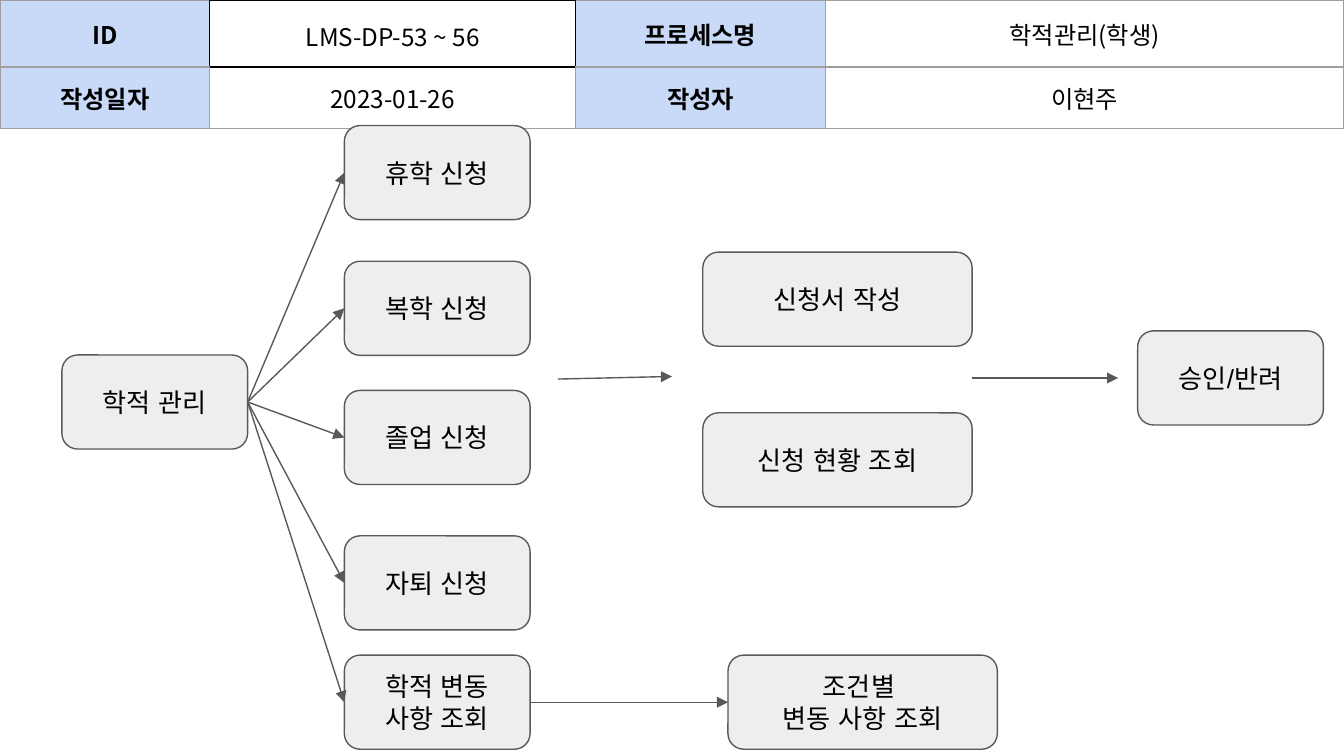
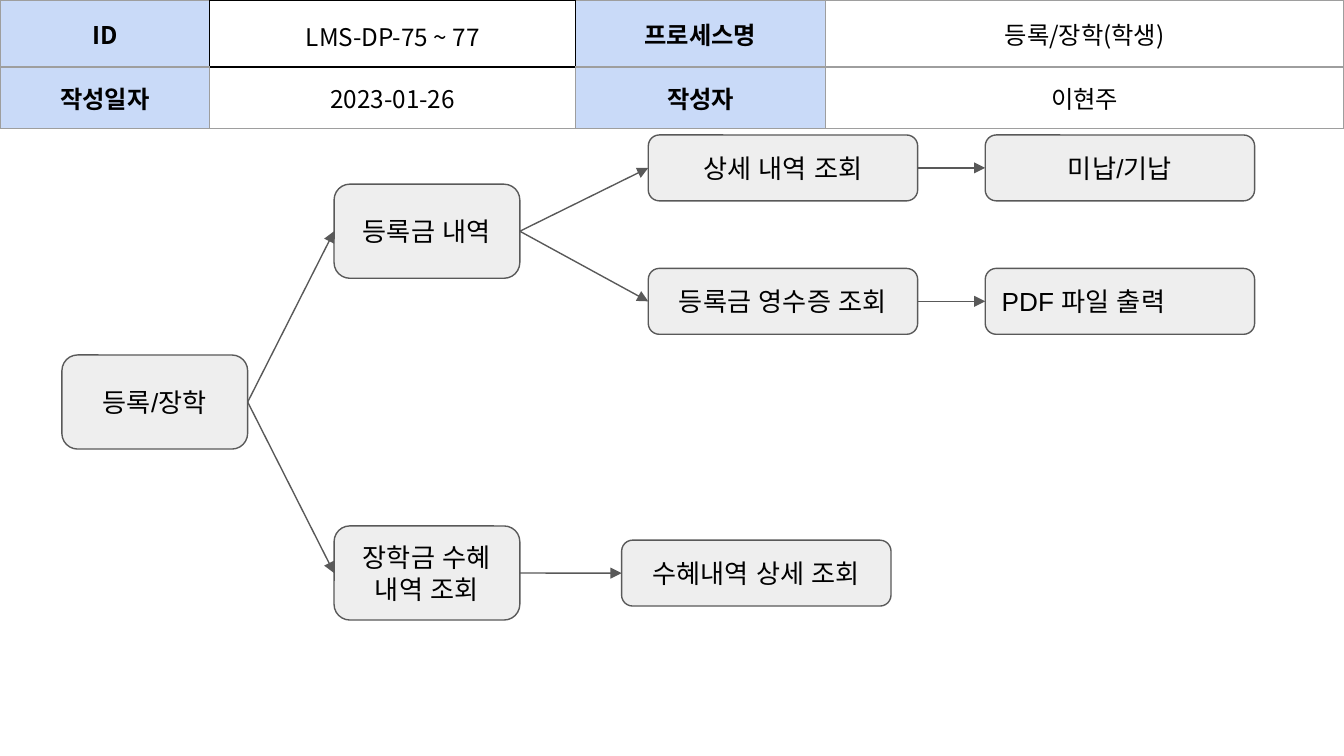
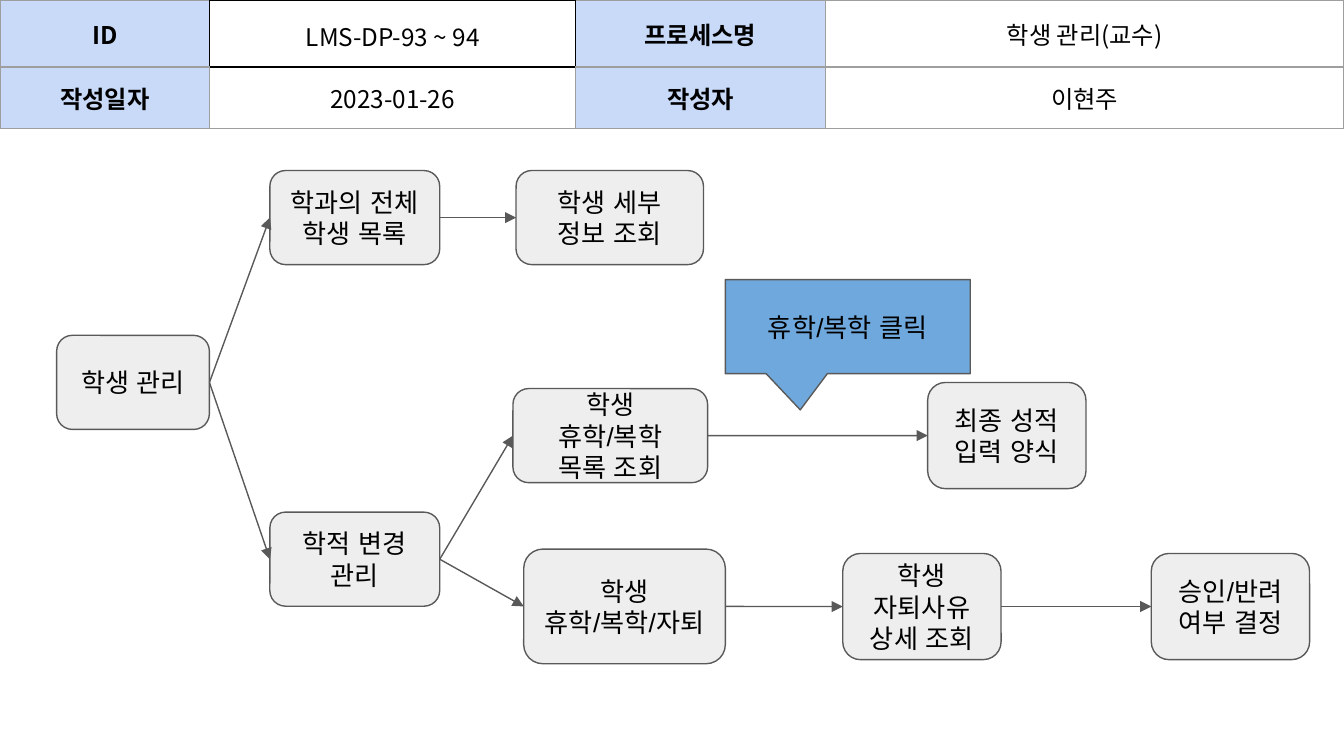
"""Builds three process-flow slides for a school management system."""
from dataclasses import dataclass
from functools import partial

from lxml import etree
from pptx import Presentation
from pptx import util as u
from pptx.dml.color import RGBColor
from pptx.enum import shapes, text
from pptx.oxml.ns import qn


@dataclass(frozen=True)
class Theme:
    """Holds the colours, fonts and sizes shared by all slides."""
    ink: str = "000000"
    label_fill: str = "C9DAF8"
    id_fill: str = "FFFFFF"
    step_fill: str = "EEEEEE"
    callout_fill: str = "6FA8DC"
    outline: str = "595959"
    grid: str = "9E9E9E"
    header_font: str = "Noto Sans CJK KR"
    step_font: str = "Arial"
    header_size: float = 13
    step_size: float = 14
    stroke: float = 0.75
    id_stroke: float = 0.68
    inset: float = 7.2
    step_height: float = 50.4


@dataclass(frozen=True)
class Box:
    """Describes a region of the slide in points."""
    left: float
    top: float
    width: float
    height: float


THEME = Theme()
SLIDE = Box(0, 0, 720, 405)
HEADER = Box(0, 0, 720, 61.2)
FLOW = Box(0, 60, 720, 345)
COLUMNS = (112.4, 195.9, 133.9, 65.5, 80.6, 131.7)
CENTER = text.PP_ALIGN.CENTER
LEFT = text.PP_ALIGN.LEFT


def write_text(frame, content, *, size, font, bold=False, align=CENTER, spacing=None):
    """Fills a text frame with one formatted paragraph per line."""
    frame.word_wrap = True
    for index, line in enumerate(content.split("\n")):
        paragraph = frame.paragraphs[0] if index == 0 else frame.add_paragraph()
        paragraph.alignment = align
        if spacing:
            paragraph.line_spacing = spacing
        run = paragraph.add_run()
        run.text = line
        run.font.size = u.Pt(size)
        run.font.bold = bold
        run.font.name = font
        run.font.color.rgb = RGBColor.from_string(THEME.ink)
        etree.SubElement(run.font._element, qn("a:ea"), typeface=font)


def set_insets(holder):
    """Gives a cell or text frame the same inset on every side."""
    for side in ("left", "right", "top", "bottom"):
        setattr(holder, f"margin_{side}", u.Pt(THEME.inset))


def draw_borders(cell, row, column):
    """Draws the cell borders, dark wherever they touch the ID value."""
    neighbours = {"L": (row, column - 1), "R": (row, column + 1),
                  "T": (row - 1, column), "B": (row + 1, column)}
    properties = cell._tc.get_or_add_tcPr()
    for side, neighbour in neighbours.items():
        dark = (0, 1) in ((row, column), neighbour)
        width = THEME.id_stroke if dark else THEME.stroke
        line = etree.SubElement(properties, qn(f"a:ln{side}"), w=str(int(u.Pt(width))))
        fill = etree.SubElement(line, qn("a:solidFill"))
        etree.SubElement(fill, qn("a:srgbClr"), val=THEME.ink if dark else THEME.grid)


def add_header(slide, box, process_id, process_name):
    """Adds the table that identifies the process."""
    entries = (("ID", process_id, "프로세스명", process_name),
               ("작성일자", "2023-01-26", "작성자", "이현주"))
    table = slide.shapes.add_table(
        len(entries), len(COLUMNS), u.Pt(box.left), u.Pt(box.top),
        u.Pt(box.width), u.Pt(box.height)).table
    table.first_row = table.horz_banding = False
    for column, width in zip(table.columns, COLUMNS):
        column.width = u.Pt(width)
    for row, row_entries in enumerate(entries):
        table.cell(row, 3).merge(table.cell(row, len(COLUMNS) - 1))
        for column in range(len(COLUMNS)):
            cell = table.cell(row, column)
            is_id, is_label = (row, column) == (0, 1), column in (0, 2)
            draw_borders(cell, row, column)
            set_insets(cell)
            if is_id or is_label:
                cell.fill.solid()
                cell.fill.fore_color.rgb = RGBColor.from_string(
                    THEME.id_fill if is_id else THEME.label_fill)
            else:
                cell.fill.background()
            if column >= len(row_entries):
                continue
            cell.vertical_anchor = (text.MSO_ANCHOR.TOP if is_id
                                    else text.MSO_ANCHOR.MIDDLE)
            write_text(cell.text_frame, row_entries[column], size=THEME.header_size,
                       font=THEME.header_font, bold=is_label,
                       spacing=1.15 if is_id else None)


def add_step(slide, box, label, x, y, width, height=THEME.step_height, *,
             fill=THEME.step_fill, align=CENTER,
             outline=shapes.MSO_SHAPE.ROUNDED_RECTANGLE, adjust=(0.167,)):
    """Adds one labelled step of the flow and returns it."""
    step = slide.shapes.add_shape(outline, u.Pt(box.left + x), u.Pt(box.top + y),
                                  u.Pt(width), u.Pt(height))
    for index, value in enumerate(adjust):
        step.adjustments[index] = value
    step.shadow.inherit = False
    step.fill.solid()
    step.fill.fore_color.rgb = RGBColor.from_string(fill)
    step.line.color.rgb = RGBColor.from_string(THEME.outline)
    step.line.width = u.Pt(THEME.stroke)
    set_insets(step.text_frame)
    step.text_frame.vertical_anchor = text.MSO_ANCHOR.MIDDLE
    write_text(step.text_frame, label, size=THEME.step_size,
               font=THEME.step_font, align=align)
    return step


def add_arrow(slide, box, x1=0, y1=0, x2=0, y2=0):
    """Adds a straight arrow between two points of the box."""
    arrow = slide.shapes.add_connector(
        shapes.MSO_CONNECTOR.STRAIGHT, u.Pt(box.left + x1), u.Pt(box.top + y1),
        u.Pt(box.left + x2), u.Pt(box.top + y2))
    arrow.line.color.rgb = RGBColor.from_string(THEME.outline)
    arrow.line.width = u.Pt(THEME.stroke)
    etree.SubElement(arrow.line._get_or_add_ln(), qn("a:tailEnd"), type="triangle")
    etree.SubElement(arrow._element.spPr, qn("a:effectLst"))
    return arrow


def link(slide, box, source, *targets):
    """Joins the right side of a step to the left side of each target."""
    for target in targets:
        arrow = add_arrow(slide, box)
        arrow.begin_connect(source, 3)
        arrow.end_connect(target, 1)


def academic_record_flow(slide, box):
    """Draws the flow of a student's academic record requests."""
    step, join = partial(add_step, slide, box), partial(link, slide, box)
    record = step("학적 관리", 33.2, 130.2, 99.5)
    requests = [step(label, 184.5, y, 99.5) for label, y in (
        ("휴학 신청", 7.3), ("복학 신청", 80), ("졸업 신청", 149.2),
        ("자퇴 신청", 227.1), ("학적 변동 사항 조회", 291))]
    for label, y in (("신청서 작성", 75.1), ("신청 현황 조회", 161.2)):
        step(label, 376.5, y, 144.3)
    step("승인/반려", 609.5, 117.3, 99.5)
    changes = step("조건별 \n변동 사항 조회", 390, 291, 144.3)
    join(record, *requests)
    join(requests[-1], changes)
    add_arrow(slide, box, 298.8, 143.1, 360, 141.7)
    add_arrow(slide, box, 520.8, 142.5, 599, 142.5)


def tuition_flow(slide, box):
    """Draws the flow of tuition and scholarship lookups."""
    step, join = partial(add_step, slide, box), partial(link, slide, box)
    detail = partial(step, width=144.3, height=35.3)
    start = step("등록/장학", 33.2, 130.2, 99.5)
    tuition = step("등록금 내역", 179, 38.7, 99.5)
    scholarship = step("장학금 수혜 내역 조회", 179, 221.8, 99.5)
    join(start, tuition, scholarship)
    for lookup, result, y, align in (
            ("상세 내역 조회", "미납/기납", 12.3, CENTER),
            ("등록금 영수증 조회", "PDF 파일 출력", 83.8, LEFT)):
        query = detail(lookup, 347.3, y)
        join(tuition, query)
        join(query, detail(result, 527.8, y, align=align))
    join(scholarship, detail("수혜내역 상세 조회", 333, 229.4))


def student_flow(slide, box):
    """Draws the flow of a professor's student management."""
    step, join = partial(add_step, slide, box), partial(link, slide, box)
    form = partial(step, width=84.8, height=56.9)
    students = step("학생 관리", 30.4, 119.7, 81.8)
    roster = step("학과의 전체 학생 목록", 144.6, 31.4, 91)
    changes = step("학적 변경 관리", 144.6, 214.4, 91)
    profile = step("학생 세부 정보 조회", 276.5, 31.4, 100.4)
    leave_list = step("학생 휴학/복학 목록 조회", 274.8, 148.2, 104.3)
    withdrawals = step("학생 휴학/복학/자퇴", 280.6, 234.2, 108, 61.4)
    grades = form("최종 성적 입력 양식", 497, 144.9)
    decision = form("승인/반려 여부 결정", 616.8, 236.5)
    step("휴학/복학 클릭", 388.6, 89.8, 131.2, fill=THEME.callout_fill,
         outline=shapes.MSO_SHAPE.ROUNDED_RECTANGULAR_CALLOUT,
         adjust=(-0.194, 0.885, 0))
    reason = form("학생 자퇴사유 상세 조회", 451.5, 236.5)
    join(students, roster, changes)
    join(roster, profile)
    join(changes, leave_list, withdrawals)
    join(leave_list, grades)
    join(withdrawals, reason)
    join(reason, decision)


def main():
    """Builds and saves the presentation."""
    deck = Presentation()
    deck.slide_width, deck.slide_height = u.Pt(SLIDE.width), u.Pt(SLIDE.height)
    for process_id, process_name, draw_flow in (
            ("LMS-DP-53 ~ 56", "학적관리(학생)", academic_record_flow),
            ("LMS-DP-75 ~ 77", "등록/장학(학생)", tuition_flow),
            ("LMS-DP-93 ~ 94", "학생 관리(교수)", student_flow)):
        slide = deck.slides.add_slide(deck.slide_layouts[6])
        add_header(slide, HEADER, process_id, process_name)
        draw_flow(slide, FLOW)
    deck.save("out.pptx")


if __name__ == "__main__":
    main()
